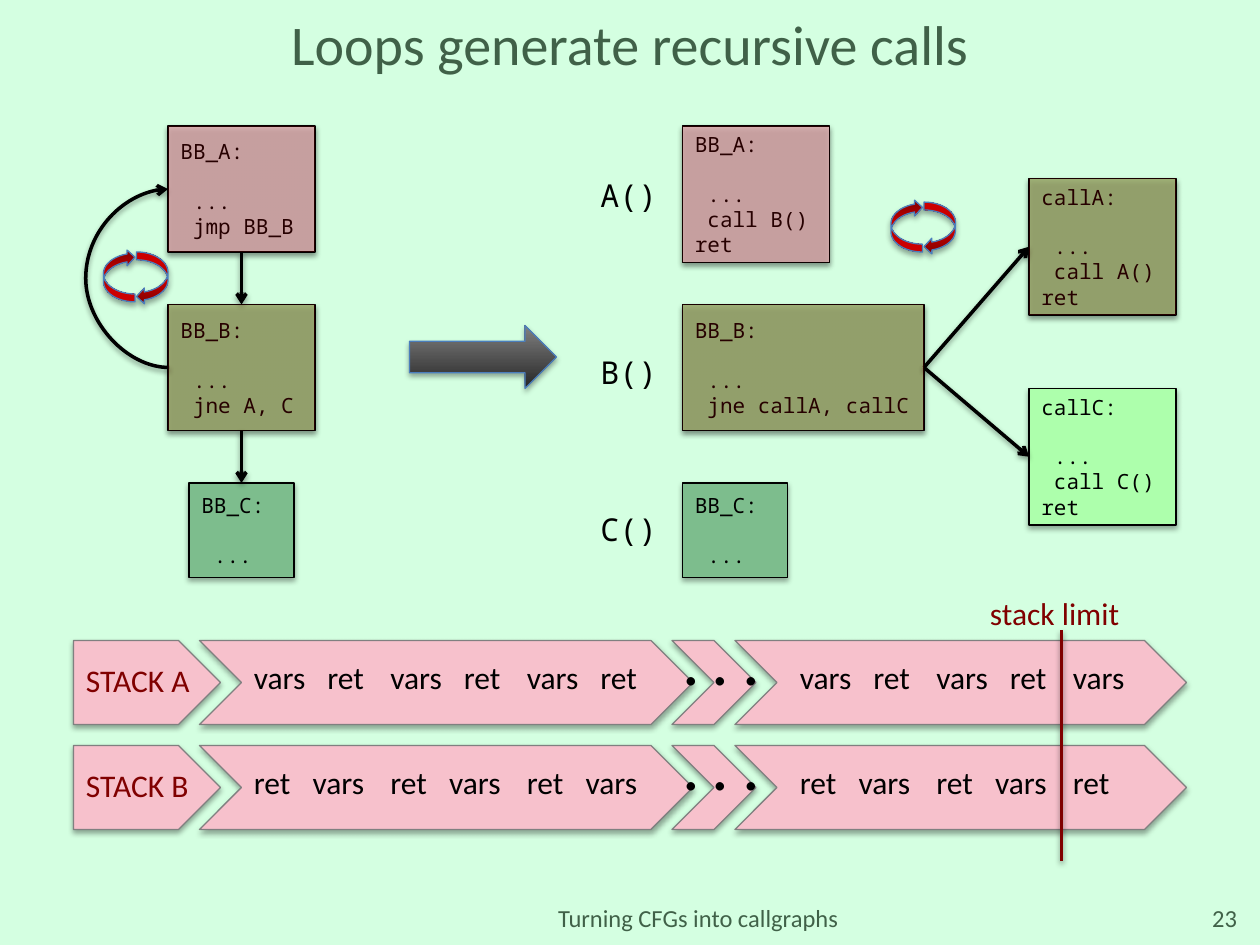
from lxml.etree import SubElement
from pptx import Presentation
from pptx.dml.color import RGBColor
from pptx.enum.shapes import MSO_CONNECTOR, MSO_SHAPE
from pptx.enum.text import MSO_ANCHOR, MSO_AUTO_SIZE, PP_ALIGN
from pptx.oxml.ns import qn
from pptx.util import Cm, Pt

MINT = RGBColor(0xD4, 0xFF, 0xE1)
PINE = RGBColor(0x40, 0x61, 0x48)
BLACK = RGBColor(0, 0, 0)
WHITE = RGBColor(0xFF, 0xFF, 0xFF)
LIME = RGBColor(0xAD, 0xFF, 0xAC)
SAGE = RGBColor(0x7D, 0xBD, 0x8D)
PINK = RGBColor(0xF7, 0xC1, 0xCC)
GRAY = RGBColor(0x80, 0x80, 0x80)
COAL = RGBColor(0x26, 0x26, 0x26)
WINE = RGBColor(0x80, 0, 0)
RED = RGBColor(0xFF, 0, 0)
BLUE = RGBColor(0x4B, 0x7E, 0xBC)
SANS = "Calibri"
MONO = "Noto Sans Mono"


def grid(*steps):
    """Turn steps of a twelfth of an inch into lengths."""
    return [Cm(step * 2.54 / 12) for step in steps]


def write(frame, text, size=18, font=SANS, color=BLACK, align=PP_ALIGN.LEFT, gap=0):
    """Fill a frame with lines of text, with a gap below the first."""
    frame.text = text
    for rank, line in enumerate(frame.paragraphs):
        line.alignment = align
        line.font.size = Pt(size)
        line.font.name = font
        line.font.color.rgb = color
        if gap and rank == 1:
            line.space_before = Pt(gap)


class Deck:
    """Hold the style and the current slide."""

    def __init__(self):
        """Open a deck with one slide."""
        self.deck = Presentation()
        self.deck.slide_width, self.deck.slide_height = grid(120, 90)
        self.slide = self.deck.slides.add_slide(self.deck.slide_layouts[5])
        self.shapes = self.slide.shapes
        fill = self.slide.background.fill
        fill.solid()
        fill.fore_color.rgb = MINT

    def title(self, text, *place):
        """Set the slide title."""
        head = self.shapes.title
        head.left, head.top, head.width, head.height = grid(*place)
        head.text_frame.auto_size = MSO_AUTO_SIZE.NONE
        head.text_frame.vertical_anchor = MSO_ANCHOR.MIDDLE
        write(head.text_frame, text, size=32, color=PINE, align=PP_ALIGN.CENTER)

    def label(self, text, *place, wrap=False, **form):
        """Add a text box."""
        frame = self.shapes.add_textbox(*grid(*place)).text_frame
        frame.word_wrap = wrap
        frame.vertical_anchor = MSO_ANCHOR.MIDDLE if wrap else MSO_ANCHOR.TOP
        write(frame, text, **form)

    def shape(self, kind, place, color, edge=None):
        """Add a preset shape with a plain fill."""
        item = self.shapes.add_shape(kind, *grid(*place))
        item.fill.solid()
        item.fill.fore_color.rgb = color
        if edge is None:
            item.line.fill.background()
        else:
            item.line.color.rgb = edge
            item.line.width = Pt(0.75)
        return item

    def block(self, text, place, color):
        """Add a box of code."""
        item = self.shape(MSO_SHAPE.RECTANGLE, place, color, BLACK)
        write(item.text_frame, text, size=12, font=MONO, gap=14)
        return item

    def tint(self, place):
        """Lay a clear wine sheet over a box."""
        item = self.shape(MSO_SHAPE.RECTANGLE, place, WINE)
        shade = item.fill._xPr.find(".//" + qn("a:srgbClr"))
        SubElement(shade, qn("a:alpha"), val="30000")

    def arrow(self, kind, place, dark, light, stop=1, turn=0):
        """Add a block arrow with a shaded fill."""
        item = self.shape(kind, place, dark, BLUE)
        item.fill.gradient()
        item.fill.gradient_angle = 90
        first, last = item.fill.gradient_stops
        first.color.rgb, last.color.rgb = dark, light
        first.position, last.position = 0, stop
        item.rotation = turn

    def cycle(self, left, top):
        """Add a pair of arrows that chase each other."""
        for x, y, turn in ((left, top, 0), (left - 3.15, top - 0.25, 180)):
            self.arrow(MSO_SHAPE.CURVED_LEFT_ARROW, (x, y, 3, 5), WINE, RED, 0.8, turn)

    def line(self, *ends, color=BLACK, kind=MSO_CONNECTOR.STRAIGHT):
        """Add a line between two points."""
        item = self.shapes.add_connector(kind, *grid(*ends))
        item.line.color.rgb = color
        item.line.width = Pt(2)
        return item

    def link(self, start, side, end, port, **form):
        """Join two boxes with an arrow."""
        item = self.line(0, 0, 1, 1, **form)
        item.begin_connect(start, side)
        item.end_connect(end, port)
        SubElement(item.line._get_or_add_ln(), qn("a:tailEnd"), type="arrow")
        return item

    def bend(self, start, end, reach):
        """Join the left sides of two boxes with a bow."""
        item = self.link(start, 1, end, 1, kind=MSO_CONNECTOR.CURVE)
        item.begin_x = start.left + grid(0.1)[0]
        form = item._element.spPr.find(qn("a:xfrm"))
        form.flipH = form.flipV = False
        form.rot = 180
        guides = item._element.spPr.find(qn("a:prstGeom")).get_or_add_avLst()
        SubElement(guides, qn("a:gd"), name="adj1", fmla=f"val {reach * 1000000}")

    def stack(self, name, top, pair, shift):
        """Add one stack row with its frames."""
        self.shape(MSO_SHAPE.PENTAGON, (7, top, 14, 8), PINK, GRAY)
        for left, width in ((64, 8), (70, 43), (19, 47)):
            self.shape(MSO_SHAPE.CHEVRON, (left, top, width, 8), PINK, GRAY)
        self.label(name, 7, top + 1.4, 12.4, 4.8, color=WINE)
        for left in (63.8, 66.6, 69.5):
            self.label(".", left, top - 3, 4.1, 9.2, size=40)
        wide = {"vars": 7.4, "ret": 6}
        first, last = pair
        for left in (23, 36, 49, 75, 88, 101):
            self.label(first, left, top + 1.1, wide[first], 4.8)
            if left < 101:
                self.label(last, left + shift, top + 1.1, wide[last], 4.8)


def main():
    """Build the slide."""
    deck = Deck()
    deck.title("Loops generate recursive calls", 2, 2, 116, 4.2)

    spots = [(16, 12, 14, 12), (16, 29, 14, 12), (65, 12, 14, 13),
             (65, 29, 23, 12), (98, 17, 14, 13)]
    one, two, new, fork, again = spots
    box_a = deck.block("BB_A:\n ...\n jmp BB_B", one, WHITE)
    box_b = deck.block("BB_B:\n ...\n jne A, C", two, LIME)
    box_c = deck.block("BB_C:\n ...", (18, 46, 10, 9), SAGE)
    deck.block("BB_A:\n ...\n call B()\nret", new, WHITE)
    test = deck.block("BB_B:\n ...\n jne callA, callC", fork, LIME)
    deck.block("BB_C:\n ...", (65, 46, 10, 9), SAGE)
    call_a = deck.block("callA:\n ...\n call A()\nret", again, LIME)
    call_c = deck.block("callC:\n ...\n call C()\nret", (98, 37, 14, 13), LIME)

    deck.link(box_a, 2, box_b, 0)
    deck.link(box_b, 2, box_c, 0)
    deck.bend(box_b, box_a, 8)
    for call in (call_a, call_c):
        deck.link(test, 3, call, 1)
    for spot in spots:
        deck.tint(spot)

    for name, top in (("A()", 16.2), ("B()", 33), ("C()", 48)):
        deck.label(name, 56, top, 8, 4.8, font=MONO)
    deck.arrow(MSO_SHAPE.RIGHT_ARROW, (39, 31, 14, 6), COAL, GRAY)
    deck.cycle(13, 24)
    deck.cycle(88, 19.25)

    deck.stack("STACK A", 61, ("vars", "ret"), 7)
    deck.stack("STACK B", 71, ("ret", "vars"), 5.6)
    deck.line(101.1, 60, 101.1, 82, color=WINE)
    deck.label("stack limit", 93.1, 56, 14.9, 4.8, color=WINE)

    deck.label("Turning CFGs into callgraphs", 24, 85, 85, 4.8, wrap=True,
               size=14, color=PINE, align=PP_ALIGN.CENTER)
    deck.label("23", 110, 85, 9, 4.8, wrap=True,
               size=14, color=PINE, align=PP_ALIGN.RIGHT)
    deck.deck.save("out.pptx")


if __name__ == "__main__":
    main()
